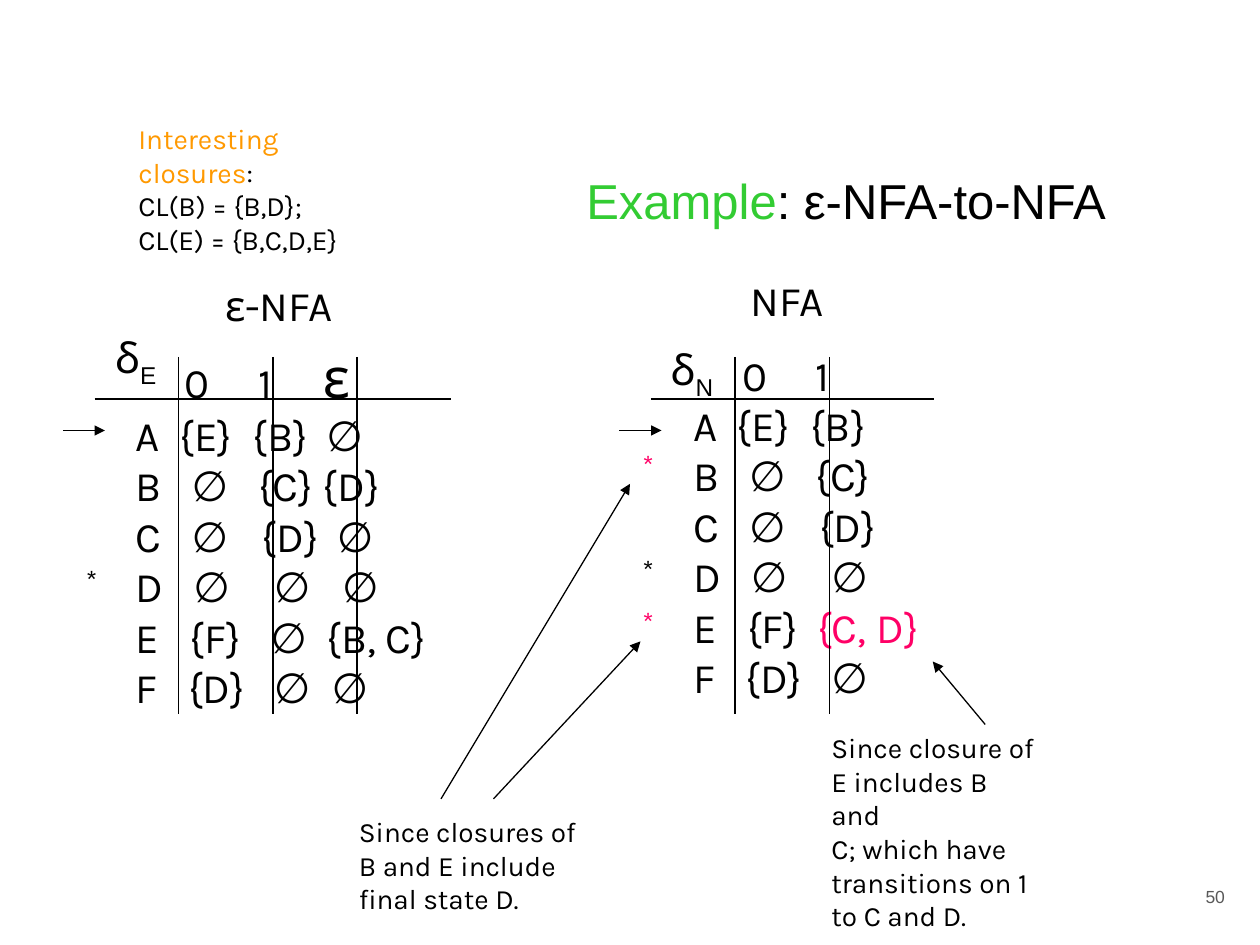
from lxml import etree
from pptx import Presentation, util as u
from pptx.dml.color import RGBColor
from pptx.enum import shapes, text
from pptx.oxml.ns import qn

BLACK = RGBColor(0, 0, 0)
GREEN = RGBColor(0x33, 0xCC, 0x33)
ORANGE = RGBColor(0xFF, 0x99, 0x00)
PINK = RGBColor(0xFF, 0x00, 0x66)
GREY = RGBColor(0x59, 0x59, 0x59)
Pt = u.Pt

deck = Presentation()
deck.slide_width, deck.slide_height = Pt(720), Pt(540)
slide = deck.slides.add_slide(deck.slide_layouts[6])


def write(place, lines, size, font="Karla", color=BLACK, stops=()):
    frame = slide.shapes.add_textbox(*map(Pt, place)).text_frame
    frame.word_wrap = True
    for number, line in enumerate(lines):
        paragraph = frame.paragraphs[0] if number == 0 else frame.add_paragraph()
        if stops:
            tabs = etree.SubElement(paragraph._p.get_or_add_pPr(), qn("a:tabLst"))
            for stop in stops[number]:
                etree.SubElement(tabs, qn("a:tab"), pos=str(Pt(stop)), algn="l")
        paragraph.font.size = Pt(size)
        paragraph.font.name = font
        paragraph.font.color.rgb = color
        for words, changes in [(line, {})] if isinstance(line, str) else line:
            run = paragraph.add_run()
            run.text = words
            if "font" in changes:
                run.font.name = changes["font"]
            if "size" in changes:
                run.font.size = Pt(changes["size"])
            if "color" in changes:
                run.font.color.rgb = changes["color"]
            if "baseline" in changes:
                run.font._element.set("baseline", changes["baseline"])
    return frame


def draw(x1, y1, x2, y2, arrow=False):
    line = slide.shapes.add_connector(
        shapes.MSO_CONNECTOR.STRAIGHT, Pt(x1), Pt(y1), Pt(x2), Pt(y2))
    line.line.color.rgb = BLACK
    line.line.width = Pt(0.75)
    if arrow:
        etree.SubElement(line.line._get_or_add_ln(), qn("a:tailEnd"), type="triangle")
    etree.SubElement(line._element.spPr, qn("a:effectLst"))


page = write((661, 502.5, 46, 37.5), ["50"], 10, "Arial", GREY)
page.paragraphs[0].alignment = text.PP_ALIGN.RIGHT

title = write((247, 72, 473, 90),
              [[("Example", {"color": GREEN}), (": ε-NFA-to-NFA", {})]], 28, "Arial")
title.vertical_anchor = text.MSO_ANCHOR.MIDDLE
title.paragraphs[0].alignment = text.PP_ALIGN.CENTER
title.paragraphs[0].line_spacing = 0.85

epsilon_nfa = [
    ["", "0", "1", "ε"],
    ["A", "{E}", "{B}", "∅"],
    ["B", "∅", "{C}", "{D}"],
    ["C", "∅", "{D}", "∅"],
    ["D", "∅", "∅", "∅"],
    ["E", "{F}", "∅", "{B, C}"],
    ["F", "{D}", "∅", "∅"],
]
nfa = [row[:3] for row in epsilon_nfa]
nfa[5][2] = "{C, D}"
epsilon_stops = [(28, 70, 107), (25, 67, 109), (32, 70, 107), (32, 72, 115),
                 (33, 79, 118), (31, 77, 109), (30, 79, 112)]
nfa_stops = [row[:2] for row in epsilon_stops]
nfa_stops[5] = (31, 71)
cell_styles = {
    "ε": {"font": "Noto Sans", "size": 32},
    "∅": {"font": "Noto Sans"},
    "{C, D}": {"color": PINK},
}

for place, rows, stops in [((70.5, 192, 213, 218), epsilon_nfa, epsilon_stops),
                           ((389, 196, 169, 209), nfa, nfa_stops)]:
    lines = [[(cell if column == 0 else "\t" + cell, cell_styles.get(cell, {}))
              for column, cell in enumerate(row) if column or cell] for row in rows]
    write(place, lines, 24, stops=stops)

for left, right, dividers in [(54, 258, (102, 156, 204)), (372, 534, (420, 474))]:
    draw(left - 18, 246, left + 6, 246, arrow=True)
    draw(left, 228, right, 228)
    for x in dividers:
        draw(x, 204, x, 408)

for left, top, state_color in [(42, 318, BLACK), (360, 312.5, BLACK),
                               (360, 342, PINK), (360, 252, PINK)]:
    write((left, top, 27, 36), ["*"], 16, color=state_color)

write((121.5, 156, 76.5, 36), ["ε-NFA"], 24)
write((422, 153.5, 57, 36), ["NFA"], 24)

for left, top, machine in [(376, 193, "N"), (58.5, 186, "E")]:
    write((left, top, 40, 36),
          [[("δ", {}), (machine, {"font": "Arial", "baseline": "-25000"})]], 24, "Noto Sans")

write((468, 414, 132, 104.5),
      ["Since closure of", "E includes B and", "C; which have",
       "transitions on 1", "to C and D."], 16)
draw(563, 414, 533, 378, arrow=True)

write((198, 462, 191.5, 93.5),
      ["Since closures of", "B and E include", "final state D."], 16)
draw(252, 456.5, 360, 276.5, arrow=True)
draw(282, 456.5, 366, 366.5, arrow=True)

write((72, 66, 145, 85),
      [[("Interesting", {"color": ORANGE})],
       [("closures", {"color": ORANGE}), (":", {})],
       "CL(B) = {B,D}; CL(E) = {B,C,D,E}"], 16)

deck.save("out.pptx")
